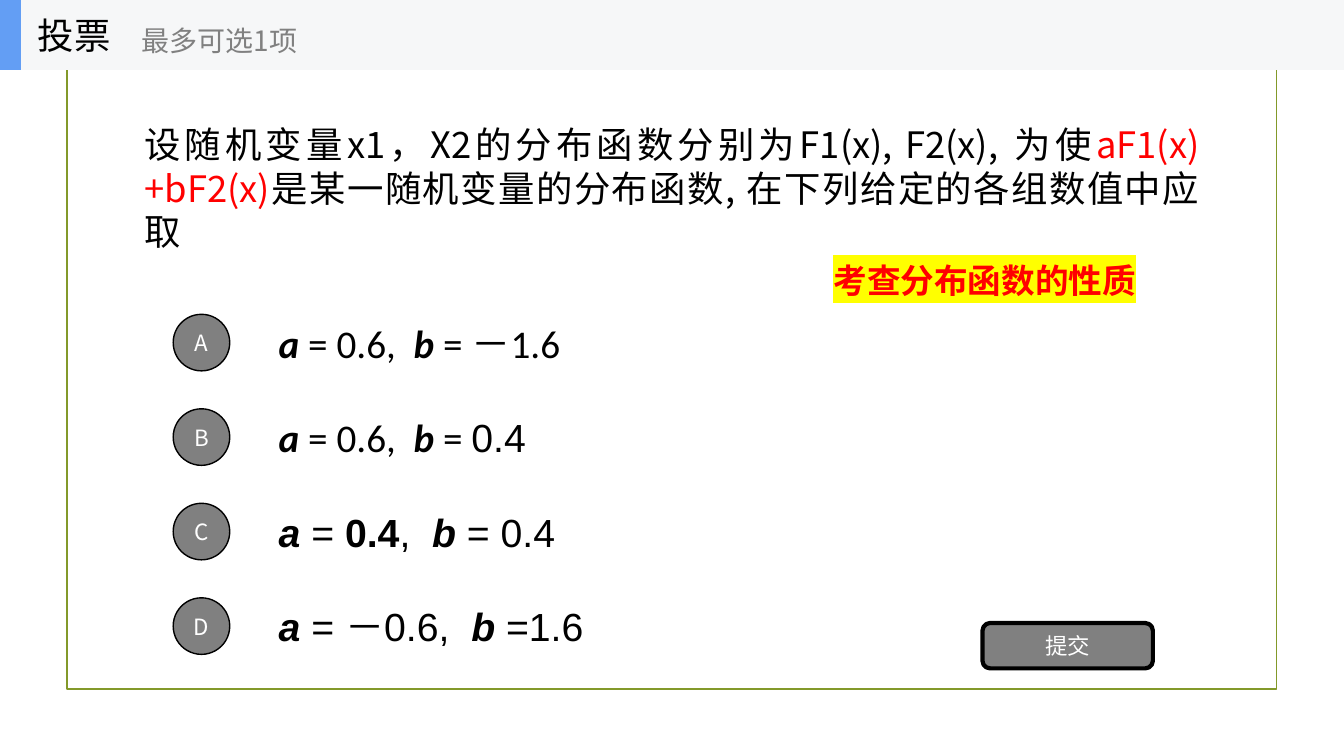
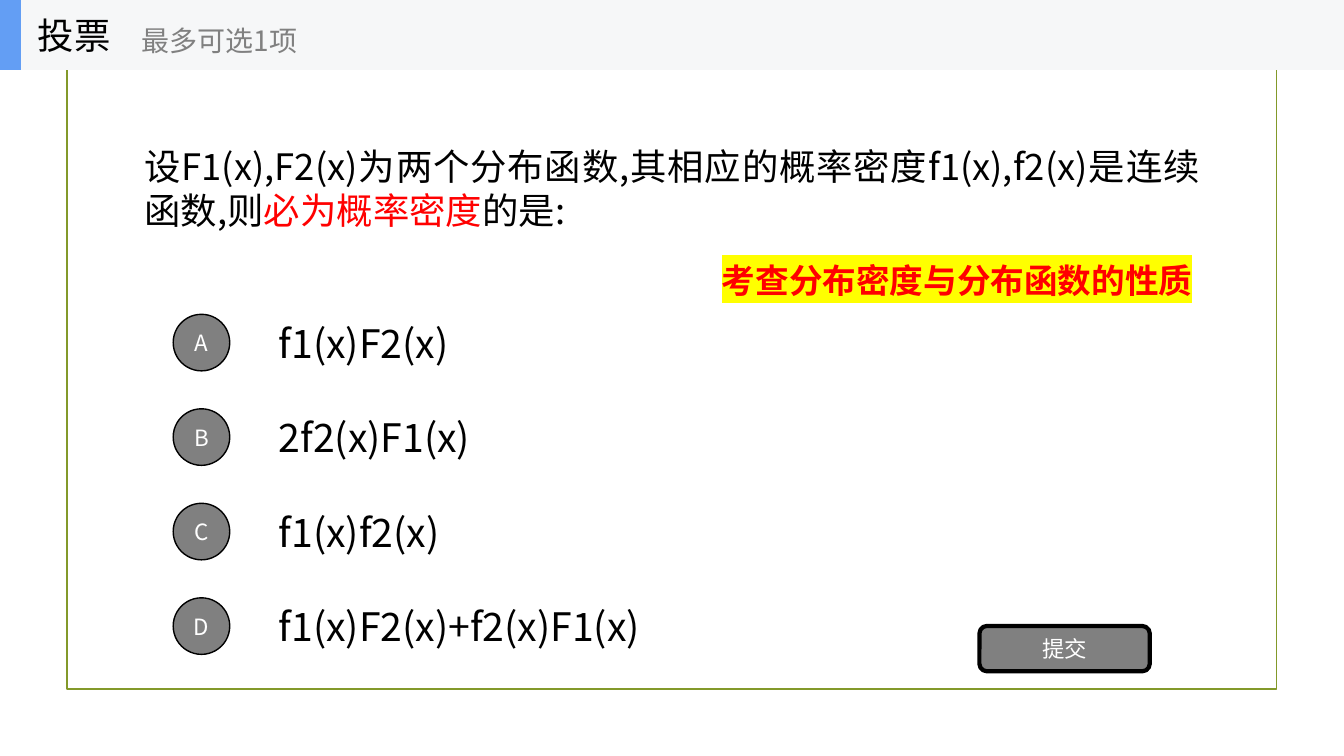
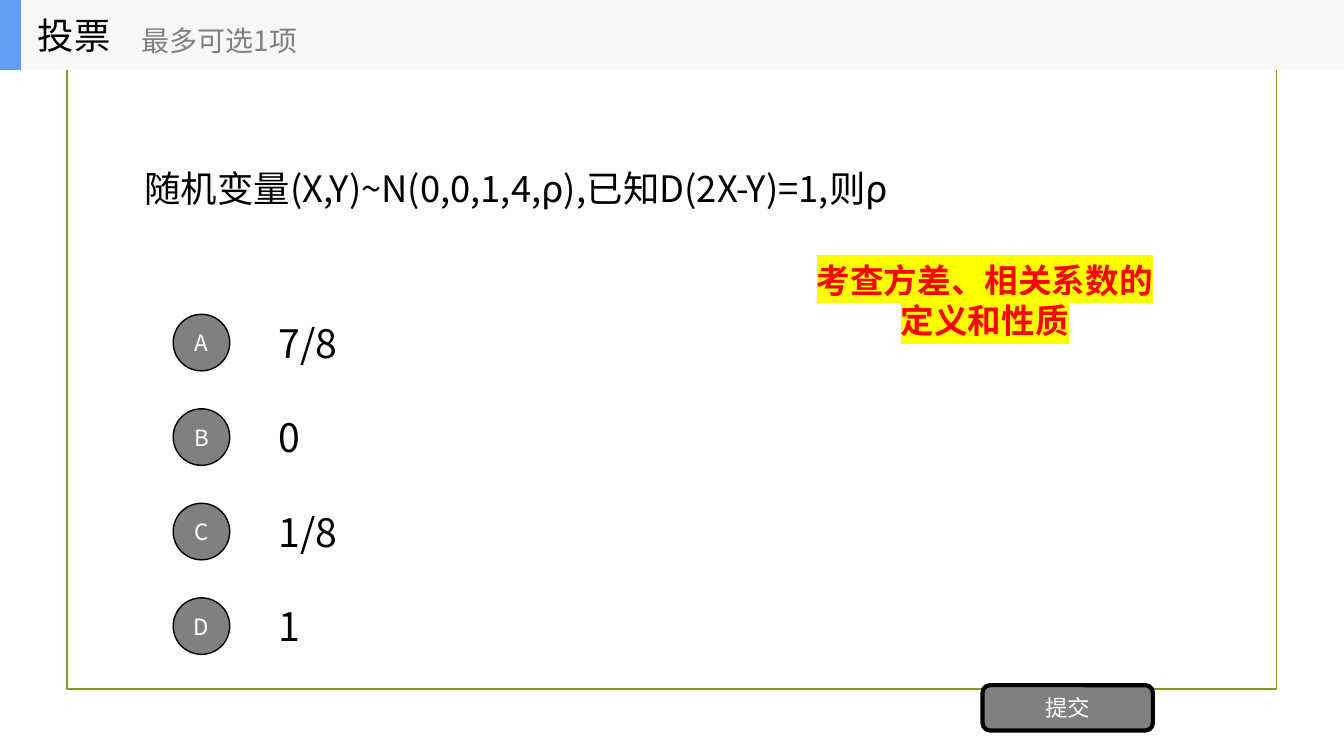
from dataclasses import dataclass

from lxml import etree
from pptx import Presentation
from pptx.dml.color import RGBColor
from pptx.enum import shapes, text
from pptx.oxml import ns
from pptx.util import Pt


@dataclass(frozen=True)
class Theme:
    cjk: str = "Noto Sans CJK SC"
    calibri: str = "Calibri"
    arial: str = "Arial"
    black: str = "000000"
    white: str = "FFFFFF"
    grey: str = "808080"
    red: str = "FF0000"
    yellow: str = "FFFF00"
    olive: str = "83992A"
    band: str = "F6F7F8"
    accent: str = "639EF4"
    question_size: int = 26
    option_size: int = 28
    note_size: int = 24
    hint_size: int = 20
    label_size: int = 16


THEME = Theme()
SLIDE_WIDTH, SLIDE_HEIGHT = 960, 540
BAND_HEIGHT = 50
FRAME = (47.9, 48, 864, 444)
QUESTION = (96, 50, 768, 168)
OPTION_LEFT, OPTION_TOP, OPTION_WIDTH, OPTION_HEIGHT = 192, 219.5, 672, 50.4
OPTION_PITCH = 67.5
CIRCLE_LEFT, CIRCLE_SIZE = 123.7, 40.4
SUBMIT_SIZE = (121.7, 32.4)
NOTE_TOP = 182.2

PLAIN, BOLD, BOLD_ITALIC = (False, False), (True, False), (True, True)


def equation(font, *runs):
    return [(words, style, run_font or font) for words, style, run_font in runs]


POLLS = [
    {
        "question": [
            ("设随机变量x1，X2的分布函数分别为F1(x), F2(x), 为使", THEME.black),
            ("aF1(x)+bF2(x)", THEME.red),
            ("是某一随机变量的分布函数, 在下列给定的各组数值中应取", THEME.black),
        ],
        "options": [
            equation(THEME.calibri, ("a", BOLD_ITALIC, None), (" = 0.6,  ", PLAIN, None),
                     ("b", BOLD_ITALIC, None), (" = ", PLAIN, None),
                     ("－", PLAIN, THEME.cjk), ("1.6", PLAIN, None)),
            equation(THEME.calibri, ("a", BOLD_ITALIC, None), (" = 0.6,  ", PLAIN, None),
                     ("b", BOLD_ITALIC, None), (" = ", PLAIN, None),
                     ("0.4", PLAIN, THEME.arial)),
            equation(THEME.arial, ("a", BOLD_ITALIC, None), (" = ", PLAIN, None),
                     ("0.4", BOLD, None), (",  ", PLAIN, None),
                     ("b", BOLD_ITALIC, None), (" = 0.4", PLAIN, None)),
            equation(THEME.arial, ("a ", BOLD_ITALIC, None), ("= ", PLAIN, None),
                     ("－", PLAIN, THEME.cjk), ("0.6,  ", PLAIN, None),
                     ("b", BOLD_ITALIC, None), (" =1.6", PLAIN, None)),
        ],
        "note": ("考查分布函数的性质", 570.2, 266.4, 36),
        "submit": (701.8, 445),
    },
    {
        "question": [
            ("设F1(x),F2(x)为两个分布函数,其相应的概率密度f1(x),f2(x)是连续函数,则", THEME.black),
            ("必为概率密度", THEME.red),
            ("的是:", THEME.black),
        ],
        "options": ["f1(x)F2(x)", "2f2(x)F1(x)", "f1(x)f2(x)", "f1(x)F2(x)+f2(x)F1(x)"],
        "note": ("考查分布密度与分布函数的性质", 503.3, 360.7, 36),
        "submit": (699.6, 447.1),
    },
    {
        "question": [("随机变量(X,Y)~N(0,0,1,4,ρ),已知D(2X-Y)=1,则ρ", THEME.black)],
        "options": ["7/8", "0", "1/8", "1"],
        "note": ("考查方差、相关系数的定义和性质", 570.2, 266.4, 65.5),
        "submit": (701.8, 489.4),
    },
]


def color(value):
    return RGBColor.from_string(value)


def set_font(font, name):
    font.name = name
    latin = font._element.find(ns.qn("a:latin"))
    east_asian = etree.Element(ns.qn("a:ea"), typeface=THEME.cjk)
    latin.addnext(east_asian)


def style_paragraph(paragraph, size, ink, align=text.PP_ALIGN.LEFT):
    paragraph.alignment = align
    paragraph.font.size = Pt(size)
    paragraph.font.color.rgb = color(ink)
    set_font(paragraph.font, THEME.cjk)


def add_run(paragraph, words):
    run = paragraph.add_run()
    run.text = words
    return run


def add_text(slide, box, anchor=text.MSO_ANCHOR.MIDDLE):
    frame = slide.shapes.add_textbox(*map(Pt, box)).text_frame
    frame.word_wrap = True
    frame.vertical_anchor = anchor
    return frame.paragraphs[0]


def add_box(slide, kind, box, fill=None, line=None, width=1):
    shape = slide.shapes.add_shape(kind, *map(Pt, box))
    shape.shadow.inherit = False
    if fill:
        shape.fill.solid()
        shape.fill.fore_color.rgb = color(fill)
    else:
        shape.fill.background()
    if line:
        shape.line.color.rgb = color(line)
        shape.line.width = Pt(width)
    else:
        shape.line.fill.background()
    return shape


def add_label(slide, kind, box, words, width):
    shape = add_box(slide, kind, box, THEME.grey, THEME.black, width)
    frame = shape.text_frame
    frame.margin_left = frame.margin_right = frame.margin_top = frame.margin_bottom = 0
    frame.vertical_anchor = text.MSO_ANCHOR.MIDDLE
    paragraph = frame.paragraphs[0]
    add_run(paragraph, words)
    style_paragraph(paragraph, THEME.label_size, THEME.white, text.PP_ALIGN.CENTER)


def add_header(slide):
    rectangle = shapes.MSO_SHAPE.RECTANGLE
    add_box(slide, rectangle, (0, 0, SLIDE_WIDTH, BAND_HEIGHT), THEME.band)
    add_box(slide, rectangle, (0, 0, 15, BAND_HEIGHT), THEME.accent)
    for words, box, size, ink in (
        ("投票", (20, 0, 150, BAND_HEIGHT), THEME.question_size, THEME.black),
        ("最多可选1项", (94, 8.6, 180, 40.4), THEME.hint_size, THEME.grey),
    ):
        paragraph = add_text(slide, box)
        add_run(paragraph, words)
        style_paragraph(paragraph, size, ink)


def add_question(slide, runs):
    paragraph = add_text(slide, QUESTION)
    style_paragraph(paragraph, THEME.question_size, THEME.black, text.PP_ALIGN.JUSTIFY)
    for words, ink in runs:
        add_run(paragraph, words).font.color.rgb = color(ink)


def add_option(slide, index, option):
    top = OPTION_TOP + index * OPTION_PITCH
    paragraph = add_text(slide, (OPTION_LEFT, top, OPTION_WIDTH, OPTION_HEIGHT))
    style_paragraph(paragraph, THEME.option_size, THEME.black)
    if isinstance(option, str):
        add_run(paragraph, option)
    else:
        for words, (bold, italic), name in option:
            font = add_run(paragraph, words).font
            font.bold, font.italic = bold, italic
            set_font(font, name)
    circle_top = top + (OPTION_HEIGHT - CIRCLE_SIZE) / 2
    add_label(slide, shapes.MSO_SHAPE.OVAL,
              (CIRCLE_LEFT, circle_top, CIRCLE_SIZE, CIRCLE_SIZE), "ABCD"[index], 1)


def add_note(slide, words, left, width, height):
    paragraph = add_text(slide, (left, NOTE_TOP, width, height), text.MSO_ANCHOR.TOP)
    style_paragraph(paragraph, THEME.note_size, THEME.red, text.PP_ALIGN.CENTER)
    paragraph.font.bold = True
    properties = add_run(paragraph, words).font._element
    highlight = etree.SubElement(properties, ns.qn("a:highlight"))
    etree.SubElement(highlight, ns.qn("a:srgbClr"), val=THEME.yellow)


def add_poll(presentation, poll):
    slide = presentation.slides.add_slide(presentation.slide_layouts[6])
    add_box(slide, shapes.MSO_SHAPE.RECTANGLE, FRAME, line=THEME.olive, width=1.25)
    add_question(slide, poll["question"])
    for index, option in enumerate(poll["options"]):
        add_option(slide, index, option)
    add_label(slide, shapes.MSO_SHAPE.ROUNDED_RECTANGLE,
              poll["submit"] + SUBMIT_SIZE, "提交", 3)
    add_note(slide, *poll["note"])
    add_header(slide)


def main():
    presentation = Presentation()
    presentation.slide_width = Pt(SLIDE_WIDTH)
    presentation.slide_height = Pt(SLIDE_HEIGHT)
    for poll in POLLS:
        add_poll(presentation, poll)
    presentation.save("out.pptx")


if __name__ == "__main__":
    main()
